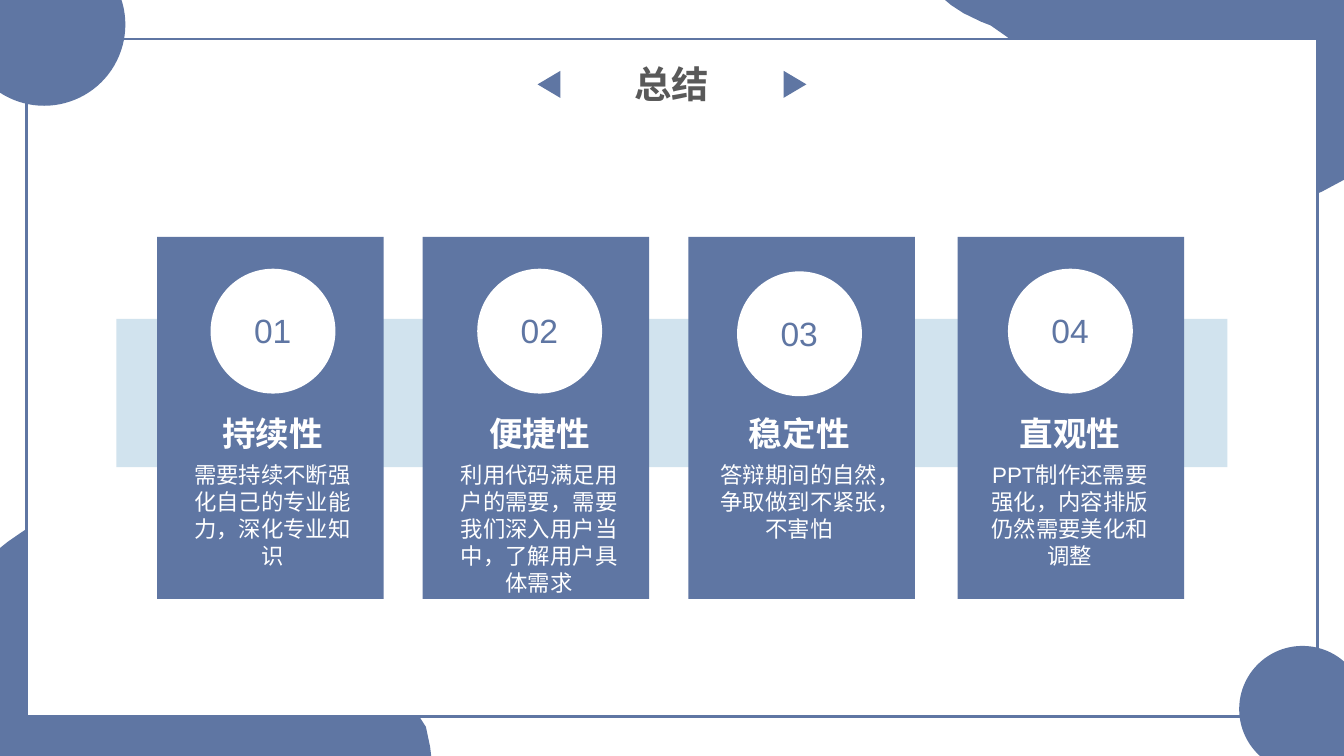
from pptx import Presentation
from pptx.dml.color import RGBColor
from pptx.enum.shapes import MSO_SHAPE
from pptx.enum.text import MSO_ANCHOR, MSO_AUTO_SIZE, PP_ALIGN
from pptx.util import Cm, Pt

BLUE, PALE, WHITE, GRAY = "5F76A3", "D1E3EE", "FFFFFF", "595959"
WIDE, HIGH = 25.4, 14.29

TOP = [
    (17.86, 0), (17.98, 0.1), (18.21, 0.25), (18.54, 0.41), (18.72, 0.48),
    (19.02, 0.69), (19.15, 0.79), (19.33, 1.17), (19.28, 1.75),
    (18.95, 2.18), (18.57, 2.57), (18.34, 3.25), (18.47, 3.76),
    (18.67, 4.09), (19.3, 4.4), (19.74, 4.29), (20.14, 3.99), (20.5, 3.45),
    (21.03, 2.69), (21.67, 2.49), (22.12, 2.59), (22.73, 3.1), (23.14, 3.48),
    (23.57, 3.76), (23.98, 3.86), (24.46, 3.81), (24.97, 3.63),
    (WIDE, 3.4), (WIDE, 0),
]
BASE = [
    (0, 10.36), (0.15, 10.24), (0.41, 10.06), (0.61, 9.93), (0.91, 9.83),
    (1.35, 9.8), (1.88, 9.91), (2.24, 10.13), (2.39, 10.52), (2.46, 11.48),
    (2.54, 11.94), (2.72, 12.34), (3, 12.65), (3.63, 13.03), (4.27, 13.13),
    (5.16, 12.98), (5.74, 12.88), (6.27, 12.88), (6.81, 12.95),
    (7.57, 13.26), (7.87, 13.46), (8.05, 13.74), (8.13, 14.12),
    (8.15, HIGH), (0, HIGH),
]
CARDS = [
    (2.97, 0.66, 0.6, "持续性", "需要持续不断强化自己的专业能力，深化专业知识", 2.31),
    (7.99, 0.68, 0.6, "便捷性", "利用代码满足用户的需要，需要我们深入用户当中，了解用户具体需求", 2.82),
    (13.01, 0.57, 0.65, "稳定性", "答辩期间的自然，争取做到不紧张，不害怕", 1.8),
    (18.1, 0.6, 0.6, "直观性", "PPT制作还需要强化，内容排版仍然需要美化和调整", 2.31),
]


def color(code):
    return RGBColor.from_string(code)


def paint(shape, fill, line=None):
    shape.shadow.inherit = False
    shape.fill.solid()
    shape.fill.fore_color.rgb = color(fill)
    if line:
        shape.line.color.rgb = color(line)
        shape.line.width = Pt(1.5)
    else:
        shape.line.fill.background()
    return shape


def draw(slide, kind, box, fill, line=None):
    return paint(slide.shapes.add_shape(kind, *map(Cm, box)), fill, line)


def style(frame, text, size, code, bold=False):
    frame.text = text
    para = frame.paragraphs[0]
    para.alignment = PP_ALIGN.CENTER
    font = para.runs[0].font
    font.name, font.size, font.bold = "Arial", Pt(size), bold
    font.color.rgb = color(code)


def write(slide, box, text, size, code, bold=False):
    frame = slide.shapes.add_textbox(*map(Cm, box)).text_frame
    frame.word_wrap = True
    style(frame, text, size, code, bold)


def blob(slide, points):
    start, *rest = [(Cm(x), Cm(y)) for x, y in points]
    pen = slide.shapes.build_freeform(*start)
    pen.add_line_segments(rest, close=True)
    paint(pen.convert_to_shape(), BLUE)


def border(slide, wide, high):
    blob(slide, TOP)
    blob(slide, BASE)
    draw(slide, MSO_SHAPE.RECTANGLE, (0.5, 0.74, 24.4, 12.81), WHITE, BLUE)
    for x, y, size in [(-0.7, -1.07, 3.07), (wide - 1.98, high - 2.08, 2.39)]:
        draw(slide, MSO_SHAPE.OVAL, (x, y, size, size), BLUE)


def header(slide, x, y, wide):
    title = slide.shapes.title
    slide.shapes._spTree.append(title._element)
    title.left, title.top = Cm(x + (wide - 1.93) / 2), Cm(y)
    title.width, title.height = Cm(1.93), Cm(1.12)
    frame = title.text_frame
    frame.word_wrap = False
    frame.auto_size = MSO_AUTO_SIZE.NONE
    frame.vertical_anchor = MSO_ANCHOR.TOP
    style(frame, "总结", 20, GRAY, True)
    for left, turn in [(x, 270), (x + wide - 0.51, 90)]:
        mark = draw(slide, MSO_SHAPE.ISOSCELES_TRIANGLE,
                    (left, y + 0.35, 0.51, 0.43), BLUE)
        mark.rotation = turn


def card(slide, x, y, inset, drop, number, name, body, tall):
    draw(slide, MSO_SHAPE.RECTANGLE, (x, y, 4.28, 6.84), BLUE)
    left = x + inset
    draw(slide, MSO_SHAPE.OVAL, (left + 0.35, y + drop, 2.36, 2.36), WHITE)
    write(slide, (left + 0.51, y + drop + 0.66, 2.03, 1.02), number, 18, BLUE)
    write(slide, (left, y + 3.2, 3.05, 1.02), name, 18, WHITE, True)
    write(slide, (left - 0.36, y + 4.12, 3.76, tall), body, 12, WHITE)


def main():
    deck = Presentation()
    deck.slide_width, deck.slide_height = Cm(WIDE), Cm(HIGH)
    slide = deck.slides.add_slide(deck.slide_layouts[5])
    border(slide, WIDE, HIGH)
    header(slide, 10.12, 1.03, 5.16)
    draw(slide, MSO_SHAPE.RECTANGLE, (2.2, 6.03, 21, 2.8), PALE)
    for index, (x, inset, drop, name, body, tall) in enumerate(CARDS, 1):
        card(slide, x, 4.48, inset, drop, f"{index:02}", name, body, tall)
    deck.save("out.pptx")


if __name__ == "__main__":
    main()
